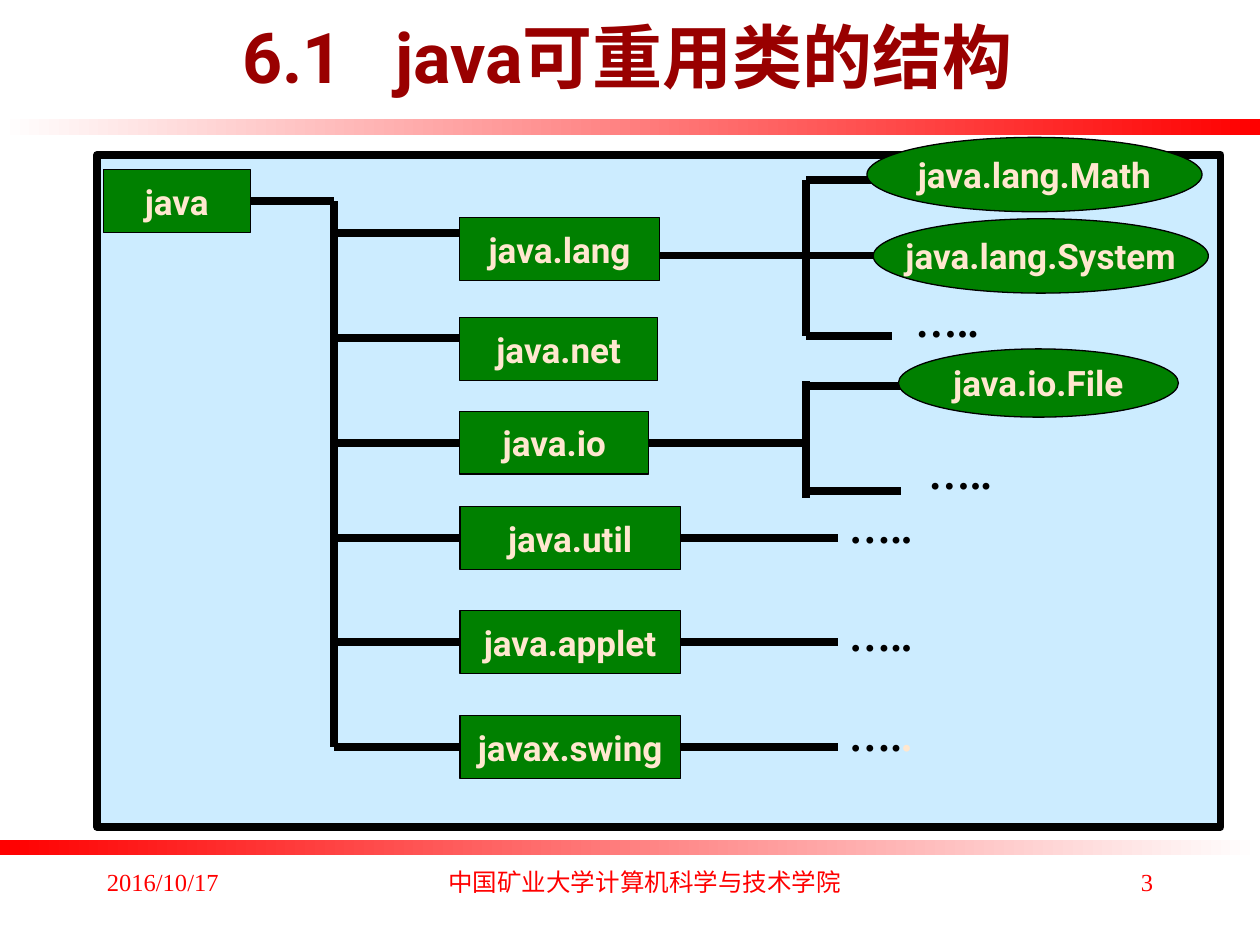
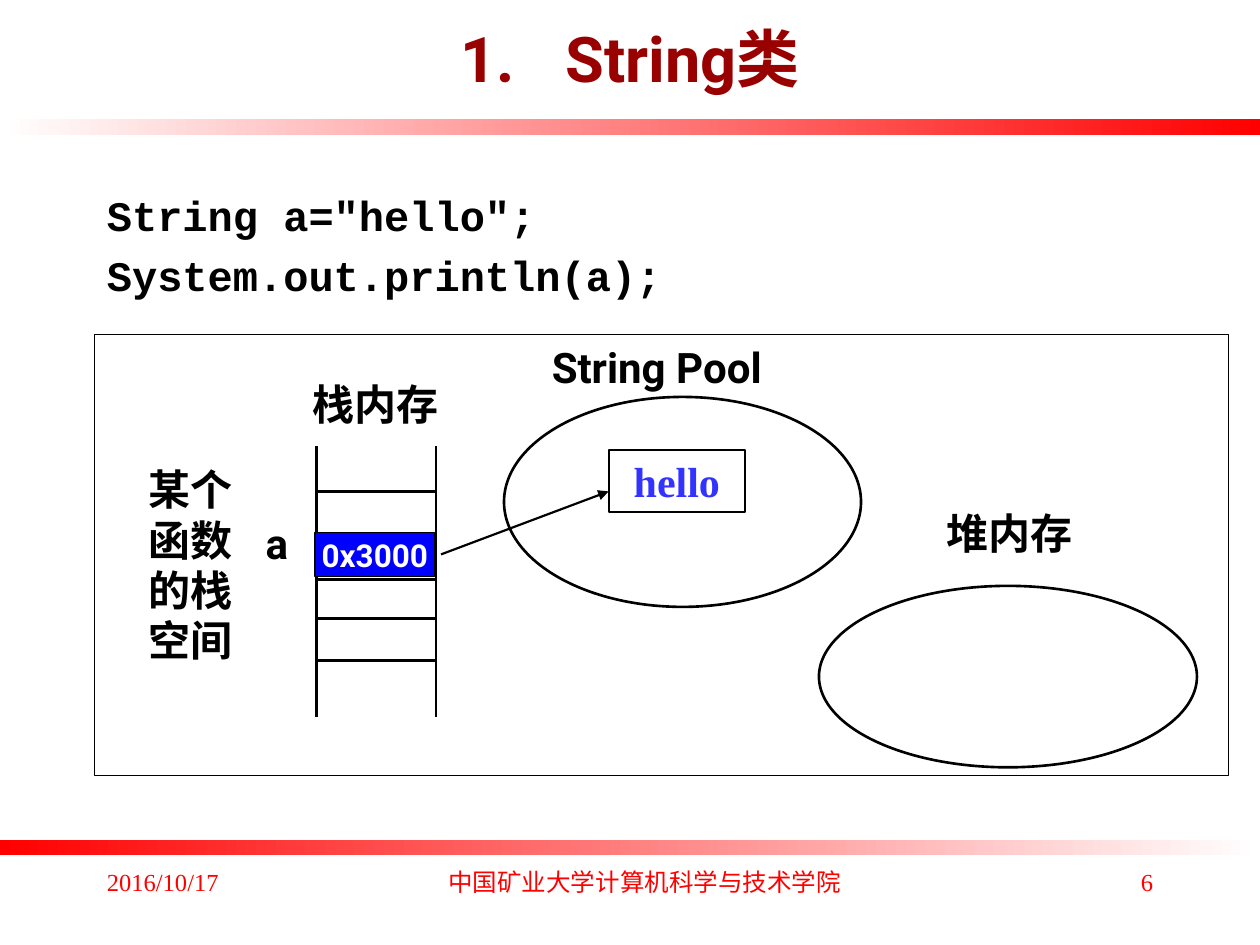
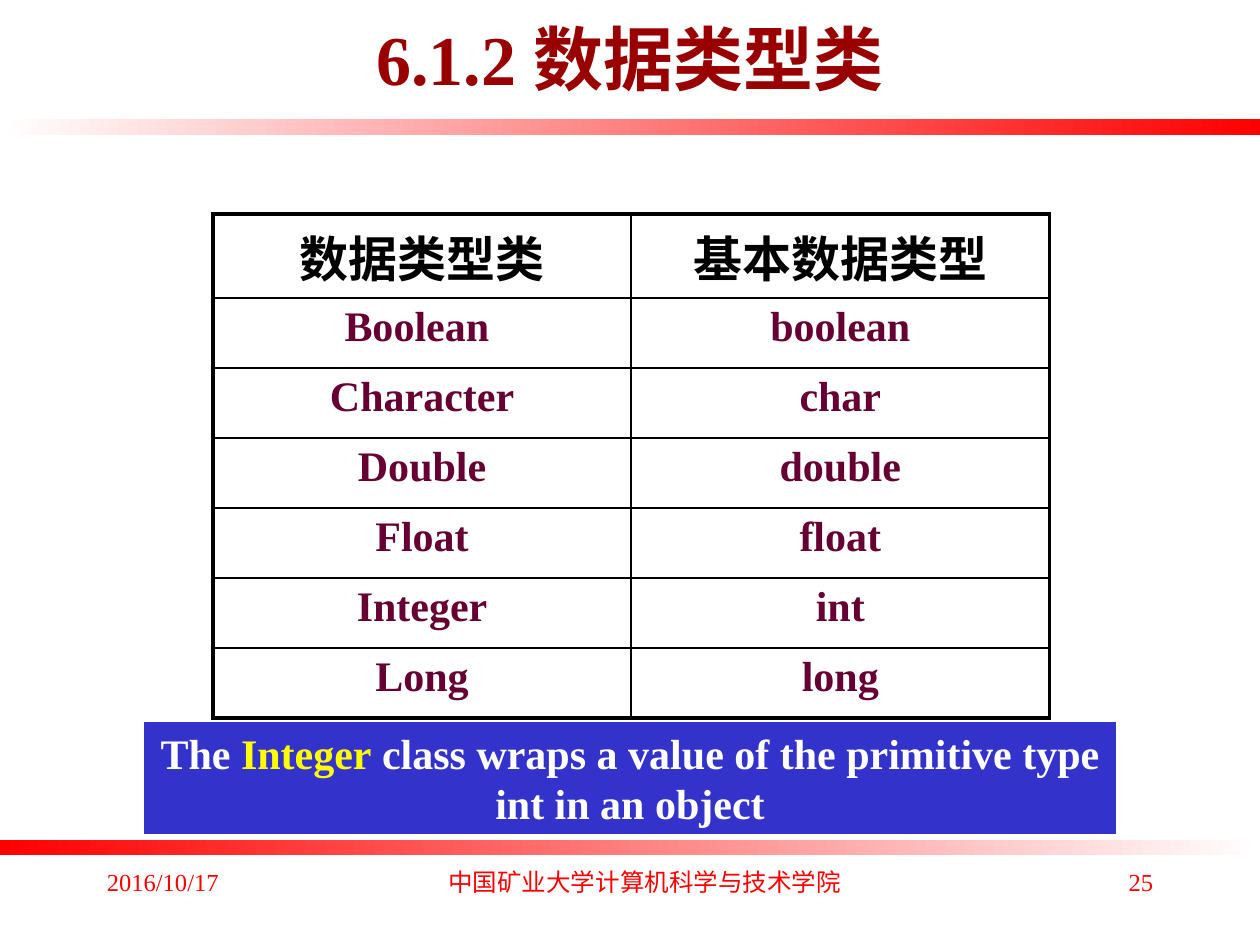
from lxml.etree import SubElement
from pptx import Presentation
from pptx.dml.color import RGBColor
from pptx.enum.shapes import MSO_CONNECTOR as Link, MSO_SHAPE as Preset
from pptx.enum.text import MSO_ANCHOR as Anchor, MSO_AUTO_SIZE as AutoSize, PP_ALIGN as Align
from pptx.oxml.ns import qn
from pptx.util import Pt


def typeface(name, size, bold=True):
    return {"name": name, "size": Pt(size), "bold": bold}


class Theme:
    black = RGBColor.from_string("000000")
    white = RGBColor.from_string("FFFFFF")
    red = RGBColor.from_string("FF0000")
    title_red = RGBColor.from_string("990000")
    sky = RGBColor.from_string("CCECFF")
    green = RGBColor.from_string("008000")
    cream = RGBColor.from_string("FFE7CF")
    blue = RGBColor.from_string("0000FF")
    literal_blue = RGBColor.from_string("3333FF")
    caption_blue = RGBColor.from_string("3333CC")
    yellow = RGBColor.from_string("FFFF00")
    plum = RGBColor.from_string("660033")
    cjk = "Noto Sans CJK SC"
    cjk_partner = {"Times New Roman": cjk, "Arial": cjk}
    title = typeface("Roboto", 40)
    subtitle = typeface("Roboto", 36)
    serif_title = typeface("Times New Roman", 40)
    footer = typeface("Times New Roman", 14, False)
    footer_cjk = typeface(cjk, 14, False)
    node = typeface("Roboto", 20)
    address = typeface("Roboto", 18)
    label = typeface("Roboto", 24)
    body = typeface("Times New Roman", 24)
    code = typeface("Courier New", 24)
    table_head = typeface("Arial", 28)


def points(*values):
    return [Pt(value) for value in values]


def write(paragraph, runs, style, align=Align.LEFT):
    paragraph.alignment = align
    for text, colour in runs:
        run = paragraph.add_run()
        run.text = text
        for attribute, value in style.items():
            setattr(run.font, attribute, value)
        run.font.color.rgb = colour
        east = SubElement(run.font._element, qn("a:ea"))
        east.set("typeface", Theme.cjk_partner.get(style["name"], style["name"]))


def add_text(slide, area, runs, style, align=Align.LEFT, wrap=True):
    frame = slide.shapes.add_textbox(*points(*area)).text_frame
    frame.word_wrap = wrap
    write(frame.paragraphs[0], runs, style, align)
    return frame


def add_figure(slide, preset, area, fill, outline=0.75, outline_colour=Theme.black):
    figure = slide.shapes.add_shape(preset, *points(*area))
    figure.shadow.inherit = False
    figure.fill.solid()
    figure.fill.fore_color.rgb = fill
    figure.line.color.rgb = outline_colour
    figure.line.width = Pt(outline)
    return figure


def add_labelled(slide, preset, area, text, fill, colour, style, outline=0.75):
    figure = add_figure(slide, preset, area, fill, outline)
    figure.text_frame.word_wrap = False
    figure.text_frame.vertical_anchor = Anchor.MIDDLE
    write(figure.text_frame.paragraphs[0], [(text, colour)], style, Align.CENTER)
    return figure


def add_node(slide, area, text, preset=Preset.RECTANGLE):
    return add_labelled(slide, preset, area, text, Theme.green, Theme.cream, Theme.node)


def add_line(slide, start, end, width, source=None, target=None, arrow=False):
    line = slide.shapes.add_connector(Link.STRAIGHT, *points(*start, *end))
    line.line.color.rgb = Theme.black
    line.line.width = Pt(width)
    properties = line._element.spPr
    if arrow:
        SubElement(properties.find(qn("a:ln")), qn("a:tailEnd"), type="triangle")
    SubElement(properties, qn("a:effectLst"))
    if source:
        line.begin_connect(source, 3)
    if target:
        line.end_connect(target, 1)


def add_band(slide, top, colours):
    band = slide.shapes.add_shape(Preset.RECTANGLE, *points(0, top, 720, 9))
    band.shadow.inherit = False
    band.line.fill.background()
    band.fill.gradient()
    band.fill.gradient_angle = 0
    for stop, colour in zip(band.fill.gradient_stops, colours):
        stop.color.rgb = colour


def start_slide(deck, number, heading, style, corner=(54, -12)):
    slide = deck.slides.add_slide(deck.slide_layouts[5])
    title = slide.shapes.title
    title.left, title.top, title.width, title.height = points(*corner, 612, 90)
    title.text_frame.auto_size = AutoSize.NONE
    title.text_frame.vertical_anchor = Anchor.MIDDLE
    paragraph = title.text_frame.paragraphs[0]
    write(paragraph, [(part, Theme.title_red) for part in heading], style, Align.CENTER)
    add_band(slide, 68.2, (Theme.white, Theme.red))
    add_band(slide, 479.8, (Theme.red, Theme.white))
    footers = (
        (54, 150, "2016/10/17", Theme.footer, Align.LEFT),
        (246, 245, "中国矿业大学计算机科学与技术学院", Theme.footer_cjk, Align.CENTER),
        (516, 150, str(number), Theme.footer, Align.RIGHT),
    )
    for left, width, text, face, align in footers:
        add_text(slide, (left, 492, width, 36), [(text, Theme.red)], face, align)
    return slide, paragraph


def add_dots(slide, left, top, last=Theme.black):
    runs = [("….", Theme.black), (".", last)]
    add_text(slide, (left, top, 50.4, 36), runs, Theme.body, wrap=False)


def build_class_tree(deck):
    heading = ("6.1", " ", "java可重用类的结构")
    slide, title = start_slide(deck, 3, heading, Theme.title, (52.5, -13.5))
    title.runs[1].font._element.set("spc", "2000")
    add_figure(slide, Preset.RECTANGLE, (55.5, 88.5, 642, 384), Theme.sky, 4.5)

    trunk, package_left, weight = 191, 262.8, 4.5
    root = add_node(slide, (59, 97, 84, 36), "java")
    add_line(slide, (143, 115), (trunk, 115), weight, source=root)
    add_line(slide, (trunk, 115), (trunk, 427), weight)

    packages = (
        ("java.lang", 124.5, 114, 133),
        ("java.net", 181.5, 113, 193),
        ("java.io", 235, 108, 253),
        ("java.util", 289.5, 126, 307.5),
        ("java.applet", 349, 126, 367),
        ("javax.swing", 409, 126, 427),
    )
    nodes = {}
    for name, top, width, branch in packages:
        nodes[name] = add_node(slide, (package_left, top, width, 36), name)
        joined = nodes[name] if branch == top + 18 else None
        add_line(slide, (trunk, branch), (package_left, branch), weight, target=joined)

    fork, class_left = 460.8, 515
    add_line(slide, (376.8, 146), (class_left, 146), weight)
    add_line(slide, (370.8, 253), (fork, 253), weight, source=nodes["java.io"])
    for top, bottom in ((103, 192), (218, 284.5)):
        add_line(slide, (fork, top), (fork, bottom), weight)
    for y, end in ((103, class_left), (192, 510), (220.5, class_left), (280.8, class_left)):
        add_line(slide, (fork, y), (end, y), weight)

    for name, y in (("java.util", 307.5), ("java.applet", 367), ("javax.swing", 427)):
        add_line(slide, (388.8, y), (478.8, y), weight, source=nodes[name])
    for left, top in ((516, 165.5), (523.5, 252), (478, 283), (478, 345)):
        add_dots(slide, left, top)
    add_dots(slide, 478, 402, Theme.cream)

    classes = (
        ("java.lang.Math", (495.4, 78.5, 191.5, 42.5)),
        ("java.lang.System", (499, 125, 191.5, 42.5)),
        ("java.io.File", (513.4, 199.4, 160, 39)),
    )
    for name, area in classes:
        add_node(slide, area, name, Preset.OVAL)


def build_string_memory(deck):
    slide, title = start_slide(deck, 6, ("String类",), Theme.subtitle)
    numbering = title._p.get_or_add_pPr()
    numbering.set("marL", str(Pt(60)))
    numbering.set("indent", str(Pt(-60)))
    SubElement(numbering, qn("a:buFont"), typeface="Roboto")
    SubElement(numbering, qn("a:buAutoNum"), type="arabicPeriod")

    code = add_text(slide, (54, 105, 612, 72), [('String a="hello";', Theme.black)], Theme.code)
    print_line = code.add_paragraph()
    print_line.space_before = Pt(5.5)
    write(print_line, [("System.out.println(a);", Theme.black)], Theme.code)

    add_figure(slide, Preset.RECTANGLE, (54, 191, 648, 252), Theme.white)
    stack_left, stack_right = 180.8, 249.2
    for x in (stack_left, stack_right):
        add_line(slide, (x, 255), (x, 409.7), 1.5)
    for y in (280.8, 307.5, 331, 353.5, 377.3):
        add_line(slide, (stack_left, y), (stack_right, y), 1.5)

    add_figure(slide, Preset.OVAL, (468, 334.8, 216, 103.7), Theme.white, 1.5)
    add_figure(slide, Preset.OVAL, (288, 226.8, 204, 120), Theme.white, 1.5)
    labels = (
        ("某个函数的栈空间", (77.8, 261.4, 67, 122.4), True),
        ("栈内存", (171.4, 213, 87, 36), False),
        ("a", (144.7, 292.3, 28.8, 36), False),
        ("堆内存", (534, 286.6, 87, 36), False),
        ("String Pool", (308.2, 191.5, 147.6, 36), False),
    )
    for text, area, wrap in labels:
        add_text(slide, area, [(text, Theme.black)], Theme.label, wrap=wrap)
    add_labelled(slide, Preset.RECTANGLE, (180, 304.5, 68.4, 25), "0x3000",
                 Theme.blue, Theme.white, Theme.address)
    add_labelled(slide, Preset.RECTANGLE, (347.8, 257, 78, 35.5), "hello",
                 Theme.white, Theme.literal_blue, Theme.body, 1.25)
    add_line(slide, (252, 316.8), (347.8, 280.8), 1.25, arrow=True)


def set_borders(cell, widths):
    properties = cell._tc.get_or_add_tcPr()
    for position, (side, width) in enumerate(widths.items()):
        border = SubElement(properties, qn(f"a:{side}"), w=str(Pt(width)))
        properties.insert(position, border)
        fill = SubElement(border, qn("a:solidFill"))
        SubElement(fill, qn("a:srgbClr"), val=str(Theme.black))


def add_type_table(slide, rows):
    last = len(rows) - 1
    area = points(121.7, 122.4, 478, 48 + 40 * last)
    table = slide.shapes.add_table(len(rows), 2, *area).table
    table.first_row = table.horz_banding = False
    outer, inner = 2.25, 1
    for r, row in enumerate(rows):
        table.rows[r].height = Pt(40 if r else 48)
        style, colour = (Theme.body, Theme.plum) if r else (Theme.table_head, Theme.black)
        for c, text in enumerate(row):
            cell = table.cell(r, c)
            cell.fill.background()
            write(cell.text_frame.paragraphs[0], [(text, colour)], style, Align.CENTER)
            set_borders(cell, {
                "lnL": inner if c else outer,
                "lnR": outer if c else inner,
                "lnT": inner if r else outer,
                "lnB": outer if r == last else inner,
            })


def build_type_classes(deck):
    slide, _ = start_slide(deck, 25, ("6.1.2 数据类型类",), Theme.serif_title)
    add_type_table(slide, (
        ("数据类型类", "基本数据类型"),
        ("Boolean ", "boolean"),
        ("Character", "char"),
        ("Double", "double"),
        ("Float", "float"),
        ("Integer", "int"),
        ("Long", "long"),
    ))
    caption = add_figure(slide, Preset.RECTANGLE, (81.4, 412, 557.2, 65.5),
                         Theme.caption_blue, 1.5, Theme.white)
    caption.text_frame.word_wrap = True
    caption.text_frame.vertical_anchor = Anchor.TOP
    sentence = (
        ("The ", Theme.white),
        ("Integer", Theme.yellow),
        (" class wraps a value of the primitive type int in an object", Theme.white),
    )
    write(caption.text_frame.paragraphs[0], sentence, Theme.body, Align.CENTER)


def main():
    deck = Presentation()
    deck.slide_width, deck.slide_height = points(720, 540)
    build_class_tree(deck)
    build_string_memory(deck)
    build_type_classes(deck)
    deck.save("out.pptx")


if __name__ == "__main__":
    main()
